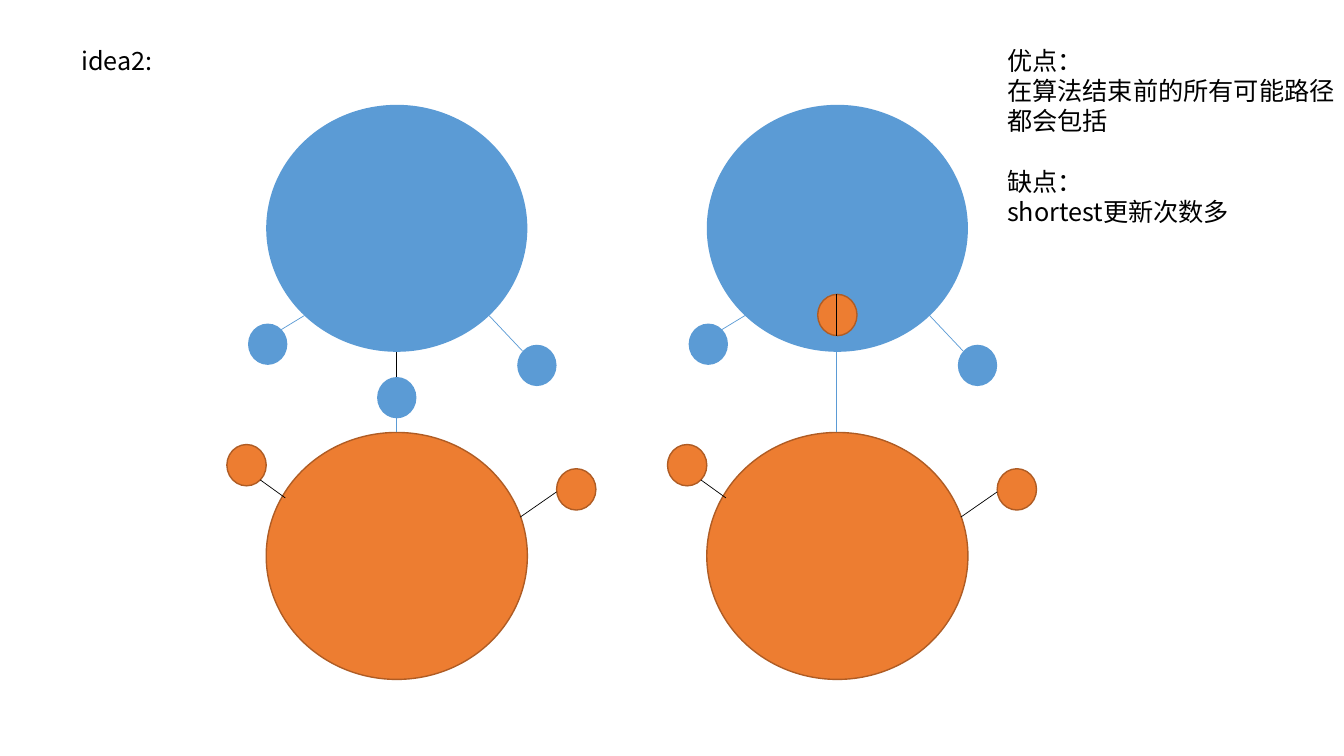
import pptx
import pptx.chart.data
import pptx.dml.color
import pptx.enum.shapes
import pptx.enum.text
import pptx.util
from lxml import etree

SLIDE_SIZE = (13.33, 7.5)
FONT = "Noto Sans CJK SC"
BLUE, ORANGE, RUST, BLACK = "5B9BD5", "ED7D31", "AF5C24", "000000"
OUTLINES = {BLUE: None, ORANGE: RUST}
LARGE, SMALL = (2.59, 2.45), (0.39, 0.41)
CLUSTER_LEFT, CLUSTER_STEP = 2.64, 4.37
AXIS = 1.29
LINE_PITCH = 21.6

NOTES = [
    ((0.71, 0.4, 3.2, 1.01), [("idea2:", 0)]),
    ((9.89, 0.4, 3.65, 1.92), [
        ("优点：", 0),
        ("在算法结束前的所有可能路径都会包括", 0),
        ("缺点：", 1),
        ("shortest更新次数多", 0),
    ]),
]
CIRCLES = [
    (0, 1.04, LARGE, BLUE),
    (0, 4.29, LARGE, ORANGE),
    (-0.39, 4.41, SMALL, ORANGE),
    (2.88, 4.65, SMALL, ORANGE),
    (-0.18, 3.21, SMALL, BLUE),
    (2.49, 3.42, SMALL, BLUE),
]
LINKS = [
    ((-0.06, 4.76), (0.19, 4.94), BLACK),
    ((2.52, 5.13), (2.88, 4.88), BLACK),
    ((0.38, 3.13), (0.15, 3.27), BLUE),
    ((2.21, 3.13), (2.54, 3.48), BLUE),
]
MIDDLE_CIRCLES = [(1.1, 3.74, SMALL, BLUE), (1.1, 2.92, SMALL, ORANGE)]
MIDDLE_LINKS = [
    [((AXIS, 3.49), (AXIS, 3.74), BLACK), ((AXIS, 4.29), (AXIS, 4.15), BLUE)],
    [((AXIS, 3.49), (AXIS, 2.92), BLACK), ((AXIS, 4.29), (AXIS, 3.33), BLUE)],
]


def color(value):
    return pptx.dml.color.RGBColor.from_string(value)


def inches(*values):
    return [pptx.util.Inches(value) for value in values]


def set_values(target, values):
    for name, value in values.items():
        setattr(target, name, value)


def add_circle(slide, origin, left, top, size, fill):
    kind = pptx.enum.shapes.MSO_SHAPE.OVAL
    shape = slide.shapes.add_shape(kind, *inches(origin + left, top, *size))
    shape.shadow.inherit = False
    shape.fill.solid()
    shape.fill.fore_color.rgb = color(fill)
    if OUTLINES[fill]:
        shape.line.color.rgb = color(OUTLINES[fill])
        shape.line.width = pptx.util.Pt(1)
    else:
        shape.line.fill.background()


def add_link(slide, origin, start, end, stroke):
    kind = pptx.enum.shapes.MSO_CONNECTOR.STRAIGHT
    points = inches(origin + start[0], start[1], origin + end[0], end[1])
    connector = slide.shapes.add_connector(kind, *points)
    connector.line.color.rgb = color(stroke)
    connector.line.width = pptx.util.Pt(0.5)
    properties = connector.element.spPr
    etree.SubElement(properties, pptx.oxml.ns.qn("a:effectLst"))


def add_note(slide, box, lines):
    frame = slide.shapes.add_textbox(*inches(*box)).text_frame
    frame.word_wrap = True
    for index, (text, gap_lines) in enumerate(lines):
        paragraph = frame.add_paragraph() if index else frame.paragraphs[0]
        set_values(paragraph, {
            "line_spacing": pptx.util.Pt(LINE_PITCH),
            "space_before": pptx.util.Pt(LINE_PITCH * gap_lines),
        })
        run = paragraph.add_run()
        run.text = text
        set_values(run.font, {"name": FONT, "size": pptx.util.Pt(18)})
        run.font.color.rgb = color(BLACK)
        east_asian = pptx.oxml.ns.qn("a:ea")
        etree.SubElement(run.font._element, east_asian, typeface=FONT)


def main():
    """Build the slide comparing two linked clusters of circles."""
    presentation = pptx.Presentation()
    width, height = inches(*SLIDE_SIZE)
    set_values(presentation, {"slide_width": width, "slide_height": height})
    slide = presentation.slides.add_slide(presentation.slide_layouts[6])
    for index, (circle, links) in enumerate(zip(MIDDLE_CIRCLES, MIDDLE_LINKS)):
        origin = CLUSTER_LEFT + index * CLUSTER_STEP
        for item in CIRCLES + [circle]:
            add_circle(slide, origin, *item)
        for item in links + LINKS:
            add_link(slide, origin, *item)
    for box, lines in NOTES:
        add_note(slide, box, lines)
    presentation.save("out.pptx")


if __name__ == "__main__":
    main()
